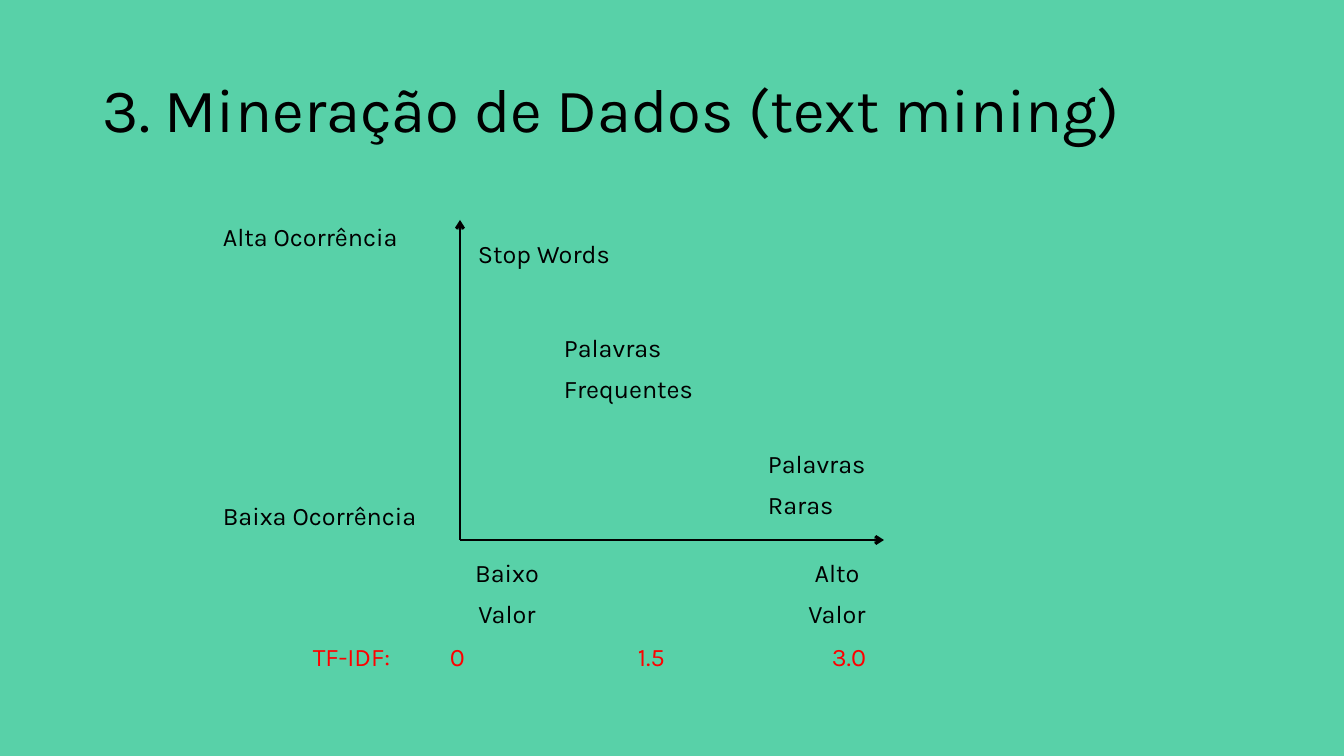
"""Build the text mining slide with its occurrence and value axes."""
from dataclasses import dataclass

from lxml import etree
from pptx import Presentation, util as u
from pptx.dml.color import RGBColor
from pptx.enum import shapes, text
from pptx.oxml import ns

PX = 914400 / 100.8


@dataclass(frozen=True)
class Theme:
    """Hold the colours, font and sizes."""
    back: str = "58D1A8"
    ink: str = "000000"
    mark: str = "FF0000"
    font: str = "Karla"
    head: int = 44
    body: int = 18
    line: int = 2


THEME = Theme()


def emu(px):
    """Turn pixels into EMU."""
    return u.Emu(round(px * PX))


def apply(item, form):
    """Set each attribute named in a dict."""
    for key, val in form.items():
        setattr(item, key, val)


def node(parent, tag, **attrs):
    """Append a drawing element."""
    return etree.SubElement(parent, ns.qn(tag), attrs)


def label(slide, box, words, size=THEME.body, color=THEME.ink,
          align=text.PP_ALIGN.LEFT, anchor=text.MSO_ANCHOR.TOP, gap=10):
    """Place a text box, one paragraph per line, and return its frame."""
    frame = slide.shapes.add_textbox(*map(emu, box)).text_frame
    apply(frame, {"word_wrap": True, "vertical_anchor": anchor, "text": words})
    for para in frame.paragraphs:
        apply(para, {"alignment": align, "line_spacing": 0.9,
                     "space_before": u.Pt(gap)})
        for run in para.runs:
            apply(run.font, {"name": THEME.font, "size": u.Pt(size)})
            run.font.color.rgb = RGBColor.from_string(color)
    return frame


def arrow(slide, start, end):
    """Draw an axis with an arrowhead at its end."""
    axis = slide.shapes.add_connector(
        shapes.MSO_CONNECTOR.STRAIGHT, *map(emu, start + end))
    axis.line.width = u.Pt(THEME.line)
    axis.line.color.rgb = RGBColor.from_string(THEME.ink)
    node(axis.line._get_or_add_ln(), "a:tailEnd", type="arrow")
    node(axis._element.spPr, "a:effectLst")


def title(slide, box):
    """Place the slide title."""
    label(slide, box, "3. Mineração de Dados (text mining)", THEME.head,
          anchor=text.MSO_ANCHOR.MIDDLE, gap=0)


def plot(slide, box):
    """Draw the axes, their end labels and the word groups."""
    left, top, wide, high = box
    right, base = left + wide, top + high
    for end in ((left, top), (right, base)):
        arrow(slide, (left, base), end)
    for y, words in ((top, "Alta Ocorrência"), (base - 41, "Baixa Ocorrência")):
        label(slide, (left - 247, y, 219, 42), words)
    for x, words in ((left, "Baixo\nValor"), (right - 94, "Alto\nValor")):
        label(slide, (x, base + 16, 94, 84), words, align=text.PP_ALIGN.CENTER)
    groups = ((8, 17, 163, 37, "Stop Words"),
              (94, 111, 163, 82, "Palavras\nFrequentes"),
              (298, 227, 126, 82, "Palavras\nRaras"))
    for x, y, w, h, words in groups:
        label(slide, (left + x, top + y, w, h), words)


def scale(slide, box):
    """Place the TF-IDF values at tab stops."""
    frame = label(slide, box, "TF-IDF:\t0\t1.5\t3.0", color=THEME.mark)
    tabs = node(frame.paragraphs[0]._p.get_or_add_pPr(), "a:tabLst")
    for stop in (137, 325, 519):
        node(tabs, "a:tab", pos=str(emu(stop)), algn="l")


def main():
    """Build and save the deck."""
    deck = Presentation()
    apply(deck, {"slide_width": emu(1344), "slide_height": emu(756)})
    slide = deck.slides.add_slide(deck.slide_layouts[6])
    fill = slide.background.fill
    fill.solid()
    fill.fore_color.rgb = RGBColor.from_string(THEME.back)
    title(slide, (93, 40, 1159, 146))
    plot(slide, (460, 220, 424, 320))
    scale(slide, (303, 640, 664, 46))
    deck.save("out.pptx")


main()
